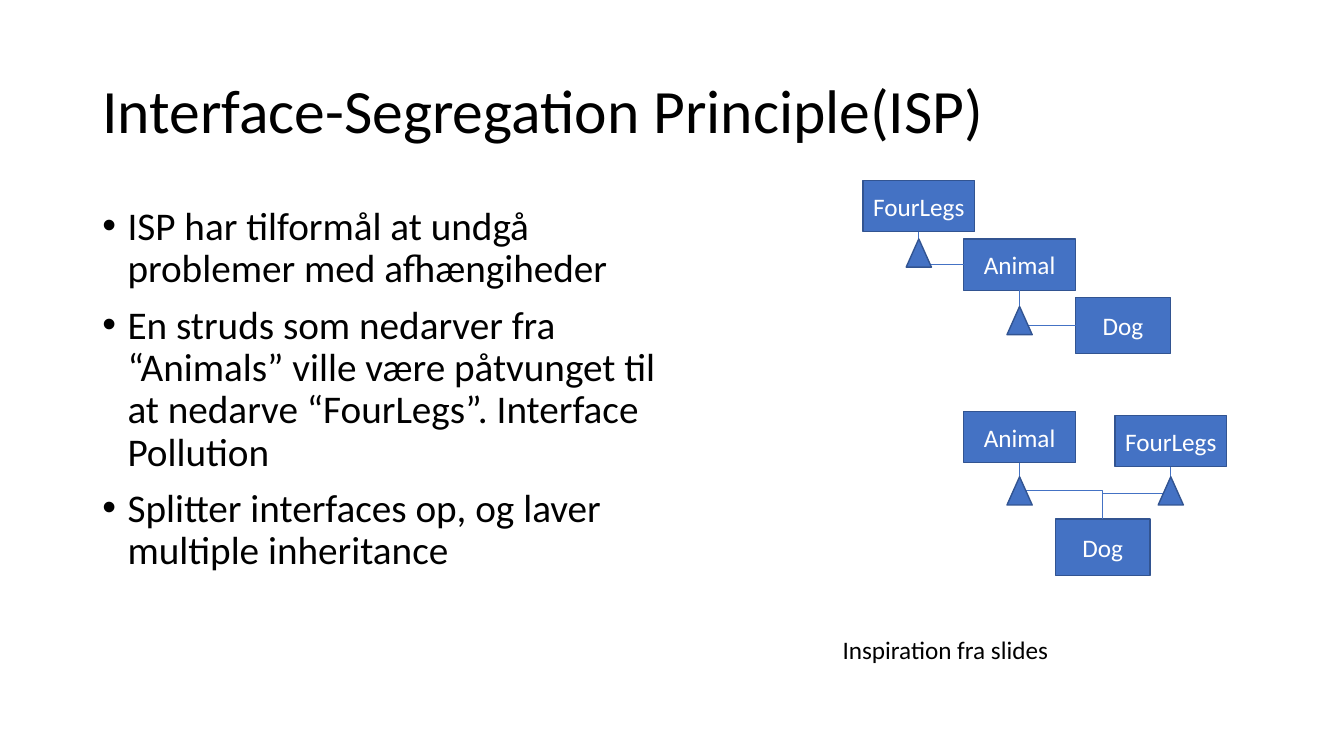
import dataclasses
import pptx
import pptx.dml.color
import pptx.enum.shapes
import pptx.enum.text
import pptx.oxml.ns
import pptx.util
import lxml.etree

MSO_SHAPE = pptx.enum.shapes.MSO_SHAPE
ANCHOR = pptx.enum.text.MSO_ANCHOR
ALIGN = pptx.enum.text.PP_ALIGN
qn = pptx.oxml.ns.qn
TOP, LEFT, BOTTOM = 0, 1, 2


@dataclasses.dataclass(frozen=True)
class Theme:
    font: str = "Calibri"
    text: str = "000000"
    box_text: str = "FFFFFF"
    fill: str = "4472C4"
    outline: str = "325491"
    title_size: int = 44
    body_size: int = 28
    label_size: int = 18
    outline_width: float = 1
    connector_width: float = 0.5


THEME = Theme()
SLIDE_WIDTH = pptx.util.Inches(13.33)
SLIDE_HEIGHT = pptx.util.Inches(7.5)
COLUMNS, ROWS = 160, 90
INTERFACE_SIZE = (13.32, 6.12)
DOG_SIZE = (11.28, 6.72)
TRIANGLE_SIZE = (3, 3.36)

BULLETS = (
    "ISP har tilformål at undgå problemer med afhængiheder",
    "En struds som nedarver fra “Animals” ville være påtvunget til "
    "at nedarve “FourLegs”. Interface Pollution",
    "Splitter interfaces op, og laver multiple inheritance",
)


def across(columns):
    return round(SLIDE_WIDTH * columns / COLUMNS)


def down(rows):
    return round(SLIDE_HEIGHT * rows / ROWS)


def color(value):
    return pptx.dml.color.RGBColor.from_string(value)


def style_font(paragraph, size, value):
    paragraph.font.name = THEME.font
    paragraph.font.size = pptx.util.Pt(size)
    paragraph.font.color.rgb = color(value)


def add_text(slide, area, texts, size, anchor=ANCHOR.TOP, wrap=True):
    left, top, width, height = area
    shape = slide.shapes.add_textbox(across(left), down(top), across(width), down(height))
    frame = shape.text_frame
    frame.word_wrap = wrap
    frame.vertical_anchor = anchor
    frame.text = "\n".join(texts)
    for paragraph in frame.paragraphs:
        style_font(paragraph, size, THEME.text)
    return frame


def add_bullets(frame):
    for paragraph in frame.paragraphs:
        paragraph.line_spacing = 0.9
        paragraph.space_before = pptx.util.Pt(10)
        properties = paragraph._p.get_or_add_pPr()
        indent = pptx.util.Inches(0.25)
        properties.set("marL", str(indent))
        properties.set("indent", str(-indent))
        bullet_font = lxml.etree.Element(qn("a:buFont"), typeface="Arial")
        bullet = lxml.etree.Element(qn("a:buChar"), char="•")
        position = len(properties.findall(qn("a:lnSpc")) + properties.findall(qn("a:spcBef")))
        properties.insert(position, bullet_font)
        properties.insert(position + 1, bullet)


def add_filled(slide, kind, left, top, width, height):
    shape = slide.shapes.add_shape(kind, left, top, width, height)
    shape.shadow.inherit = False
    shape.fill.solid()
    shape.fill.fore_color.rgb = color(THEME.fill)
    shape.line.color.rgb = color(THEME.outline)
    shape.line.width = pptx.util.Pt(THEME.outline_width)
    return shape


def add_class(slide, name, column, row, size=INTERFACE_SIZE):
    shape = add_filled(slide, MSO_SHAPE.RECTANGLE, across(column), down(row),
                       across(size[0]), down(size[1]))
    frame = shape.text_frame
    frame.word_wrap = False
    frame.vertical_anchor = ANCHOR.MIDDLE
    frame.text = name
    paragraph = frame.paragraphs[0]
    paragraph.alignment = ALIGN.CENTER
    style_font(paragraph, THEME.label_size, THEME.box_text)
    return shape


def add_triangle(slide, parent, row):
    width, height = across(TRIANGLE_SIZE[0]), down(TRIANGLE_SIZE[1])
    left = parent.left + (parent.width - width) // 2
    add_filled(slide, MSO_SHAPE.ISOSCELES_TRIANGLE, left, down(row), width, height)


def add_inheritance(slide, child, parent, child_site, triangle_row):
    end_x = parent.left + parent.width // 2
    end_y = parent.top + parent.height
    if child_site == LEFT:
        start_x, start_y = child.left, child.top + child.height // 2
    else:
        start_x, start_y = child.left + child.width // 2, child.top
    connector = slide.shapes.add_connector(
        pptx.enum.shapes.MSO_CONNECTOR.ELBOW, start_x, start_y, end_x, end_y)
    connector.begin_connect(child, child_site)
    connector.end_connect(parent, BOTTOM)
    connector.line.color.rgb = color(THEME.fill)
    connector.line.width = pptx.util.Pt(THEME.connector_width)
    properties = connector._element.spPr
    lxml.etree.SubElement(properties, qn("a:effectLst"))

    width, height = abs(end_x - start_x), abs(end_y - start_y)
    middle_x, middle_y = (start_x + end_x) // 2, (start_y + end_y) // 2
    transform = properties.find(qn("a:xfrm"))
    transform.attrib.clear()
    if child_site == LEFT:
        properties.find(qn("a:prstGeom")).set("prst", "bentConnector2")
        degrees = 180
    else:
        width, height = height, width
        degrees = 270
        if end_x < start_x:
            transform.set("flipV", "1")
    transform.set("rot", str(degrees * 60000))
    connector.left, connector.top = middle_x - width // 2, middle_y - height // 2
    connector.width, connector.height = width, height
    add_triangle(slide, parent, triangle_row)


def add_chain(slide):
    four_legs = add_class(slide, "FourLegs", 102.72, 21.48)
    animal = add_class(slide, "Animal", 114.72, 28.44)
    dog = add_class(slide, "Dog", 128.04, 35.4, DOG_SIZE)
    add_inheritance(slide, dog, animal, LEFT, 36.48)
    add_inheritance(slide, animal, four_legs, LEFT, 28.44)


def add_multiple_inheritance(slide):
    four_legs = add_class(slide, "FourLegs", 132.72, 49.44)
    animal = add_class(slide, "Animal", 114.72, 48.96)
    dog = add_class(slide, "Dog", 125.64, 61.8, DOG_SIZE)
    for parent in (animal, four_legs):
        add_inheritance(slide, dog, parent, TOP, 56.76)


def main():
    presentation = pptx.Presentation()
    presentation.slide_width = SLIDE_WIDTH
    presentation.slide_height = SLIDE_HEIGHT
    slide = presentation.slides.add_slide(presentation.slide_layouts[6])
    title = add_text(slide, (11, 4.8, 138, 17.4), ["Interface-Segregation Principle(ISP)"],
                     THEME.title_size, ANCHOR.MIDDLE)
    title.paragraphs[0].line_spacing = 0.9
    add_bullets(add_text(slide, (11, 24, 72.72, 57.12), BULLETS, THEME.body_size))
    add_chain(slide)
    add_multiple_inheritance(slide)
    caption = add_text(slide, (99.12, 74.88, 27.12, 4.8), ["Inspiration fra slides"],
                       THEME.label_size, wrap=False)
    caption.auto_size = pptx.enum.text.MSO_AUTO_SIZE.SHAPE_TO_FIT_TEXT
    presentation.save("out.pptx")


main()
